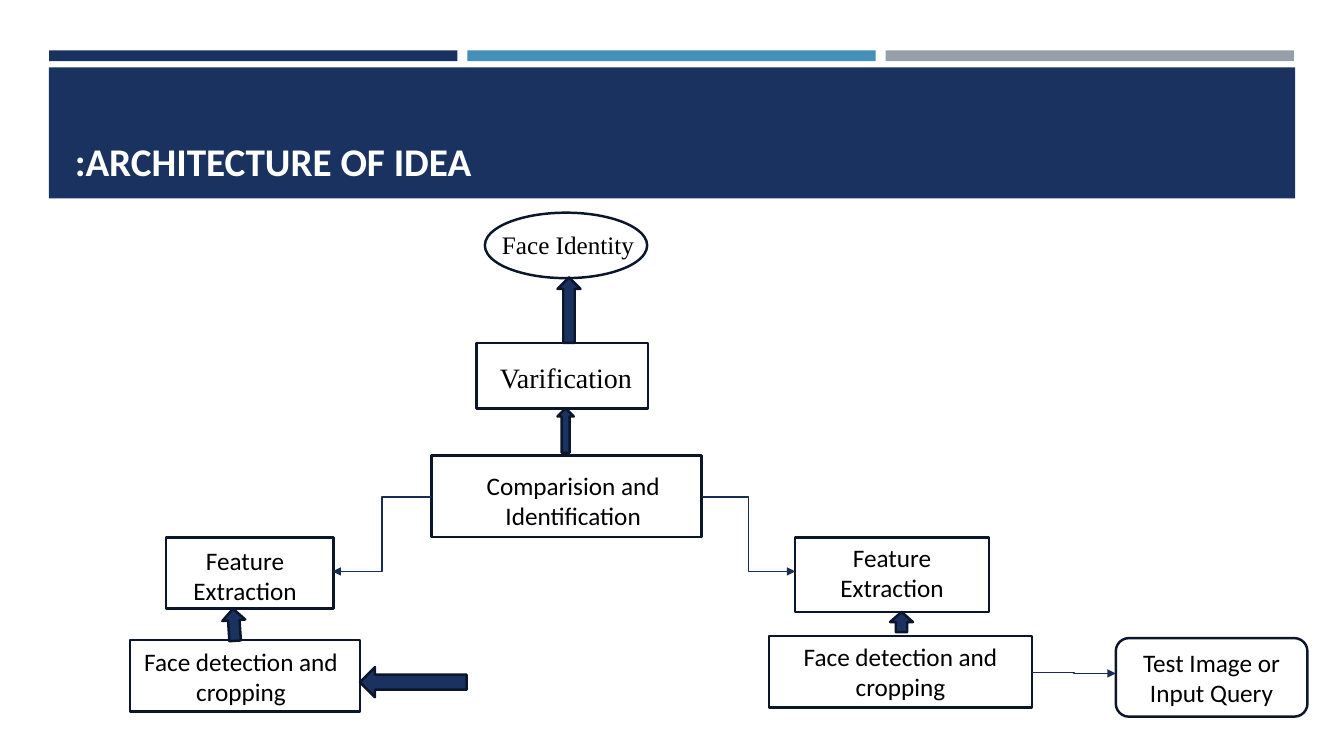
"""Build the slide showing the architecture of a face identification idea."""
from lxml.etree import SubElement
from pptx import Presentation
from pptx.dml.color import RGBColor
from pptx.enum.shapes import MSO_CONNECTOR, MSO_SHAPE
from pptx.enum.text import MSO_ANCHOR, MSO_AUTO_SIZE, PP_ALIGN
from pptx.oxml.ns import qn
from pptx.util import Cm, Pt

NAVY = RGBColor(0x1A, 0x32, 0x60)
BLUE = RGBColor(0x45, 0x90, 0xB8)
GREY = RGBColor(0x96, 0x9F, 0xA7)
OUTLINE = RGBColor(0x0B, 0x16, 0x2A)
CONNECTOR = RGBColor(0x17, 0x2D, 0x56)
WHITE = RGBColor(0xFF, 0xFF, 0xFF)
BLACK = RGBColor(0x00, 0x00, 0x00)
SANS, SERIF = "Calibri", "Times New Roman"

TITLE = ":ARCHITECTURE OF IDEA"
TITLE_AREA = (1.63, 1.96, 30.63, 2.82)
TITLE_BAND = (1.23, 1.7, 31.41, 3.3)
BAR_COLOURS = (NAVY, BLUE, GREY)
BAR_LEFT, BAR_TOP, BAR_WIDTH, BAR_HEIGHT, BAR_STEP = 1.24, 1.27, 10.29, 0.27, 10.54

BOXES = [
    (MSO_SHAPE.OVAL, (12.22, 5.36, 4.09, 1.65)),
    (MSO_SHAPE.RECTANGLE, (12.01, 8.64, 4.32, 1.65)),
    (MSO_SHAPE.RECTANGLE, (10.87, 11.48, 6.81, 2.06)),
    (MSO_SHAPE.RECTANGLE, (4.19, 13.54, 4.22, 1.8)),
    (MSO_SHAPE.RECTANGLE, (20.04, 13.54, 4.88, 1.88)),
    (MSO_SHAPE.RECTANGLE, (3.28, 16.13, 5.79, 1.8)),
    (MSO_SHAPE.RECTANGLE, (19.38, 16.03, 6.63, 1.8)),
]
QUERY_TEXT = "Test Image or Input Query"
QUERY_AREA = (28.12, 16.08, 4.83, 1.98)
LABELS = [
    ("Face Identity", (12.4, 5.66, 4.09, 1.02), SERIF, 18, PP_ALIGN.LEFT),
    ("Varification", (12.22, 8.97, 4.09, 1.12), SERIF, 20, PP_ALIGN.CENTER),
    ("Comparision and Identification", (11.79, 11.73, 5.31, 1.8), SANS, 18, PP_ALIGN.CENTER),
    ("Feature Extraction", (4.37, 13.61, 3.61, 1.8), SANS, 18, PP_ALIGN.CENTER),
    ("Feature Extraction", (20.04, 13.54, 4.88, 1.8), SANS, 18, PP_ALIGN.CENTER),
    ("Face detection and cropping", (3.18, 16.15, 5.79, 1.8), SANS, 18, PP_ALIGN.CENTER),
    ("Face detection and cropping", (19.38, 16.03, 6.63, 2.57), SANS, 18, PP_ALIGN.CENTER),
]
ARROWS = [
    (MSO_SHAPE.UP_ARROW, (14.05, 6.99, 0.58, 1.65), 0),
    (MSO_SHAPE.UP_ARROW, (14.05, 10.29, 0.41, 1.12), 0),
    (MSO_SHAPE.UP_ARROW, (5.61, 15.34, 0.58, 0.81), -3.8),
    (MSO_SHAPE.UP_ARROW, (22.43, 15.42, 0.58, 0.51), 0),
    (MSO_SHAPE.LEFT_ARROW, (9.07, 16.81, 2.69, 0.76), 0),
]
CONNECTIONS = [
    (17.68, 12.52, 20.04, 14.4),
    (10.87, 12.52, 8.38, 14.4),
    (26.01, 16.94, 28.12, 16.97),
]


def lengths(values):
    return [Cm(value) for value in values]


def add_block(slide, kind, area, fill, line=None):
    shape = slide.shapes.add_shape(kind, *lengths(area))
    shape.shadow.inherit = False
    shape.fill.solid()
    shape.fill.fore_color.rgb = fill
    if line is None:
        shape.line.fill.background()
    else:
        shape.line.color.rgb = line
        shape.line.width = Pt(1.75)
    return shape


def write(shape, text, font_name, size, colour, alignment, bold=False):
    shape.text_frame.text = text
    shape.text_frame.word_wrap = True
    paragraph = shape.text_frame.paragraphs[0]
    paragraph.alignment = alignment
    font = paragraph.runs[0].font
    font.name, font.size, font.bold = font_name, Pt(size), bold
    font.color.rgb = colour


def add_label(slide, text, area, font_name, size, alignment):
    label = slide.shapes.add_textbox(*lengths(area))
    write(label, text, font_name, size, BLACK, alignment)
    label.text_frame.auto_size = MSO_AUTO_SIZE.SHAPE_TO_FIT_TEXT


def add_connection(slide, ends):
    connector = slide.shapes.add_connector(MSO_CONNECTOR.ELBOW, *lengths(ends))
    connector.line.color.rgb = CONNECTOR
    connector.line.width = Pt(1)
    SubElement(connector.line._get_or_add_ln(), qn("a:tailEnd"), type="triangle")
    SubElement(connector._element.spPr, qn("a:effectLst"))


def add_title(slide):
    title = slide.shapes.title
    title.left, title.top, title.width, title.height = lengths(TITLE_AREA)
    write(title, TITLE, SANS, 28, WHITE, PP_ALIGN.LEFT, bold=True)
    title.text_frame.auto_size = MSO_AUTO_SIZE.NONE
    title.text_frame.vertical_anchor = MSO_ANCHOR.BOTTOM
    band = add_block(slide, MSO_SHAPE.RECTANGLE, TITLE_BAND, NAVY)
    title._element.addprevious(band._element)


def main():
    presentation = Presentation()
    presentation.slide_width, presentation.slide_height = Cm(33.87), Cm(19.05)
    slide = presentation.slides.add_slide(presentation.slide_layouts[5])
    add_title(slide)
    for index, colour in enumerate(BAR_COLOURS):
        area = (BAR_LEFT + index * BAR_STEP, BAR_TOP, BAR_WIDTH, BAR_HEIGHT)
        add_block(slide, MSO_SHAPE.RECTANGLE, area, colour)
    for kind, area in BOXES:
        add_block(slide, kind, area, WHITE, OUTLINE)
    query = add_block(slide, MSO_SHAPE.ROUNDED_RECTANGLE, QUERY_AREA, WHITE, OUTLINE)
    write(query, QUERY_TEXT, SANS, 18, BLACK, PP_ALIGN.CENTER)
    query.text_frame.vertical_anchor = MSO_ANCHOR.MIDDLE
    for label in LABELS:
        add_label(slide, *label)
    for kind, area, rotation in ARROWS:
        add_block(slide, kind, area, NAVY, OUTLINE).rotation = rotation
    for ends in CONNECTIONS:
        add_connection(slide, ends)
    presentation.save("out.pptx")


if __name__ == "__main__":
    main()
